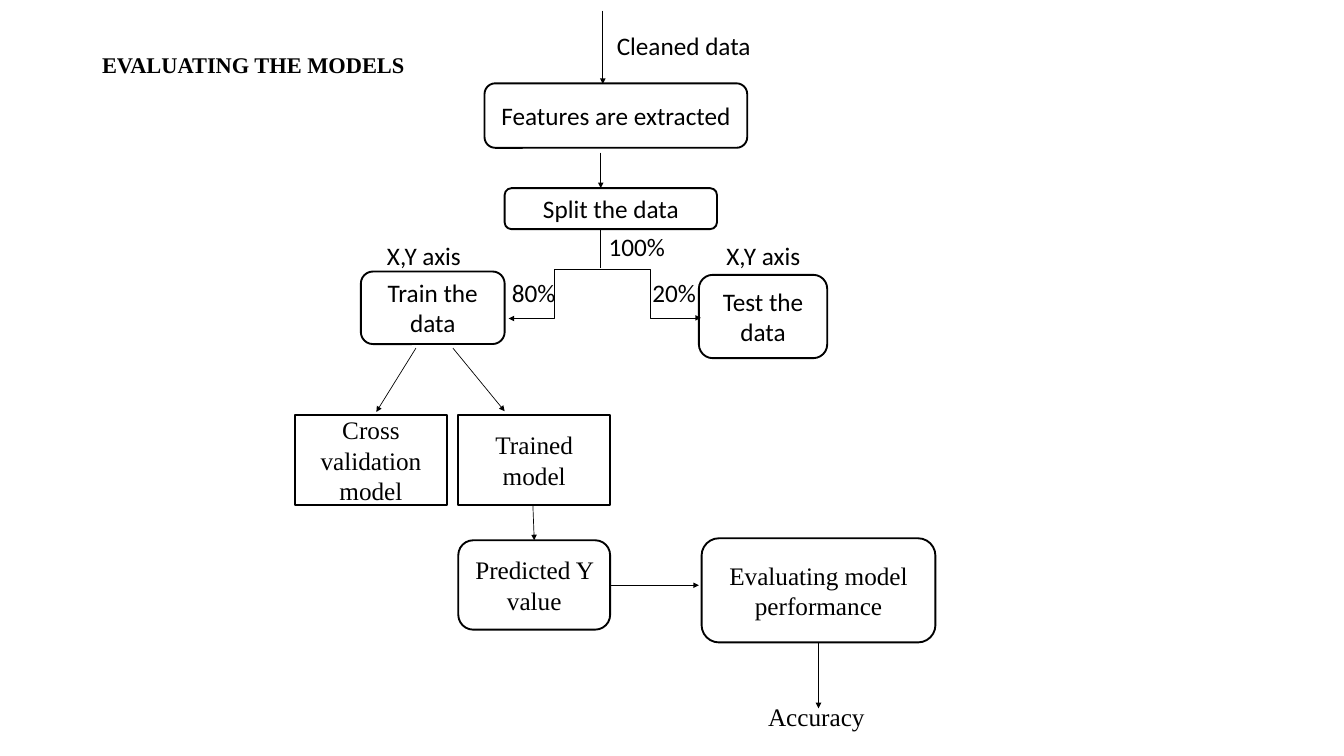
from dataclasses import dataclass

from lxml.etree import SubElement
from pptx import Presentation
from pptx.dml.color import RGBColor
from pptx.enum.shapes import MSO_CONNECTOR as Link, MSO_SHAPE as Shape
from pptx.enum.text import MSO_ANCHOR as Anchor, PP_ALIGN as Align
from pptx.oxml.ns import qn
from pptx.slide import Slide
from pptx.text.text import TextFrame
from pptx.util import Inches, Pt

BLACK = RGBColor(0, 0, 0)
WHITE = RGBColor(255, 255, 255)
SANS = "Calibri"
SERIF = "Times New Roman"


@dataclass
class Step:
    text: str
    left: float
    top: float
    width: float
    height: float
    font: str = SANS
    shape: Shape = Shape.ROUNDED_RECTANGLE


@dataclass
class Label:
    text: str
    left: float
    top: float
    width: float
    height: float = 0.56
    font: str = SANS
    size: int = 27
    bold: bool = False
    inset: float = 0.1


@dataclass
class Arrow:
    start: tuple[float, float]
    end: tuple[float, float]
    kind: Link = Link.STRAIGHT
    head: bool = True


MODEL_SIZE = (2.26, 1.33)
STEPS = [
    Step("Features are extracted", 7.21, 1.24, 3.91, 0.96),
    Step("Split the data", 7.51, 2.8, 3.16, 0.61),
    Step("Train the data", 5.37, 4.04, 2.14, 1.08),
    Step("Test the data", 10.4, 4.09, 1.91, 1.24),
    Step("Cross validation model", 4.39, 6.18, *MODEL_SIZE, SERIF, Shape.RECTANGLE),
    Step("Trained model", 6.82, 6.18, *MODEL_SIZE, SERIF, Shape.RECTANGLE),
    Step("Predicted Y value", 6.82, 8.04, *MODEL_SIZE, SERIF),
    Step("Evaluating model performance", 10.44, 8.01, 3.48, 1.55, SERIF),
]

SPLIT = (8.92, 4.01)
ARROWS = [
    Arrow((8.97, 0.16), (8.97, 1.25)),
    Arrow((8.94, 2.27), (8.94, 2.8)),
    Arrow((8.94, 3.41), (8.94, 3.99), head=False),
    Arrow(SPLIT, (10.43, 4.73), Link.ELBOW),
    Arrow(SPLIT, (7.57, 4.74), Link.ELBOW),
    Arrow((6.19, 5.18), (5.6, 6.13)),
    Arrow((6.74, 5.18), (7.51, 6.12)),
    Arrow((7.93, 7.52), (7.95, 8.04)),
    Arrow((9.08, 8.71), (10.4, 8.71)),
    Arrow((12.18, 9.56), (12.18, 10.54)),
]

LABELS = [
    Label("EVALUATING THE MODELS", 1.42, 0.71, 5.08, 0.5, SERIF, 24, bold=True),
    Label("Cleaned data", 9.08, 0.4, 2.83),
    Label("100%", 8.96, 3.4, 1.69),
    Label("80%", 7.52, 4.07, 1.21),
    Label("20%", 9.61, 4.07, 1.16),
    Label("X,Y axis", 5.66, 3.52, 1.98),
    Label("X,Y axis", 10.71, 3.52, 2.15),
    Label("Accuracy", 10.5, 10.39, 4.23, font=SERIF, inset=0.93),
]


def write(frame: TextFrame, text: str, font: str, size: int = 27,
          bold: bool = False, align: Align = Align.LEFT) -> None:
    frame.word_wrap = True
    frame.text = text
    para = frame.paragraphs[0]
    para.alignment = align
    para.font.name = font
    para.font.size = Pt(size)
    para.font.bold = bold
    para.font.color.rgb = BLACK


def draw_step(page: Slide, step: Step) -> None:
    box = page.shapes.add_shape(step.shape, Inches(step.left), Inches(step.top),
                                Inches(step.width), Inches(step.height))
    box.shadow.inherit = False
    box.fill.solid()
    box.fill.fore_color.rgb = WHITE
    box.line.color.rgb = BLACK
    box.line.width = Pt(2)
    box.text_frame.vertical_anchor = Anchor.MIDDLE
    write(box.text_frame, step.text, step.font, align=Align.CENTER)


def draw_arrow(page: Slide, arrow: Arrow) -> None:
    ends = [Inches(value) for value in arrow.start + arrow.end]
    line = page.shapes.add_connector(arrow.kind, *ends)
    line.line.color.rgb = BLACK
    line.line.width = Pt(0.75)
    if arrow.head:
        SubElement(line.line._get_or_add_ln(), qn("a:tailEnd"), type="triangle")
    SubElement(line._element.spPr, qn("a:effectLst"))


def draw_label(page: Slide, label: Label) -> None:
    box = page.shapes.add_textbox(Inches(label.left), Inches(label.top),
                                  Inches(label.width), Inches(label.height))
    box.text_frame.margin_left = Inches(label.inset)
    write(box.text_frame, label.text, label.font, label.size, label.bold)


def main() -> None:
    deck = Presentation()
    deck.slide_width = Inches(20)
    deck.slide_height = Inches(11.25)
    page = deck.slides.add_slide(deck.slide_layouts[6])
    for step in STEPS:
        draw_step(page, step)
    for arrow in ARROWS:
        draw_arrow(page, arrow)
    for label in LABELS:
        draw_label(page, label)
    deck.save("out.pptx")


if __name__ == "__main__":
    main()
